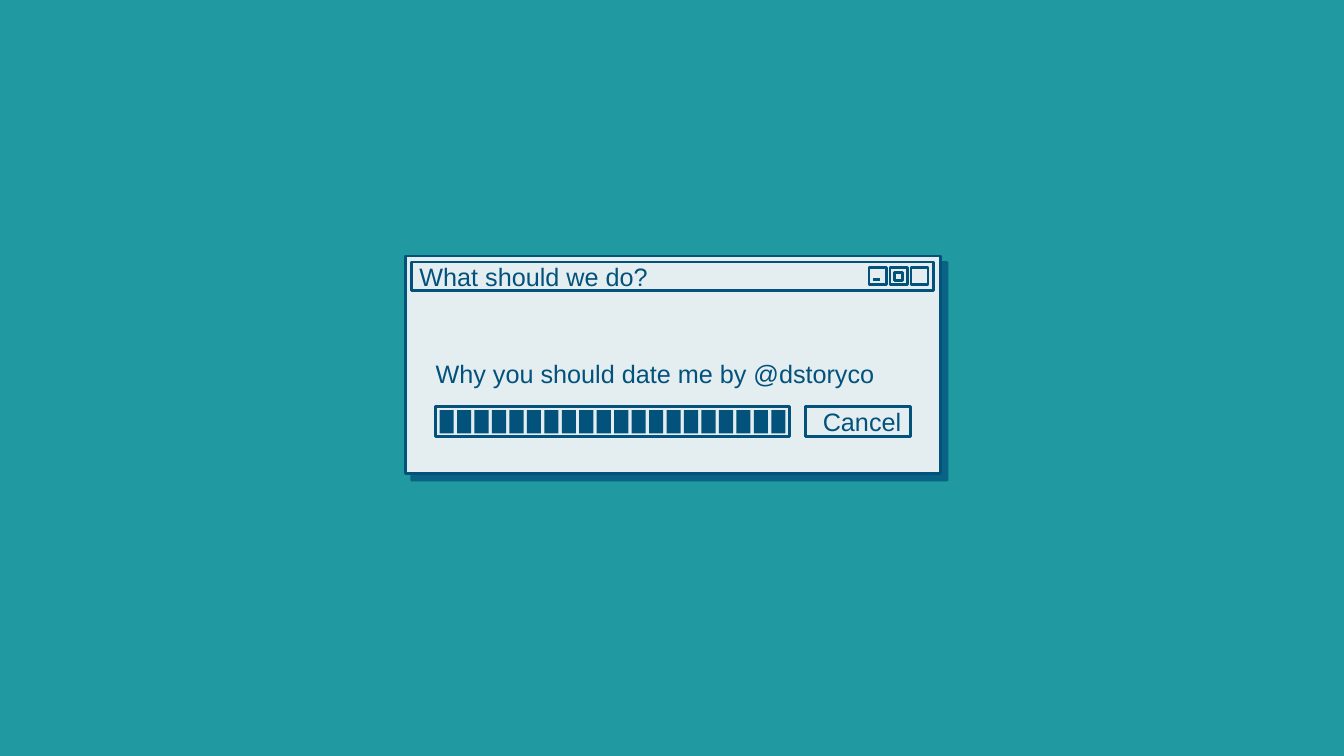
from dataclasses import dataclass

from lxml import etree
from pptx import Presentation
from pptx.dml.color import RGBColor
from pptx.enum.shapes import MSO_CONNECTOR as CONN, MSO_SHAPE as SHAPE
from pptx.enum.text import MSO_ANCHOR as ANCHOR, MSO_AUTO_SIZE as AUTO, PP_ALIGN as ALIGN
from pptx.oxml import parse_xml
from pptx.oxml.ns import nsdecls, qn
from pptx.util import Inches, Pt

COLS, ROWS = 1333, 750
CELL = Inches(0.01)


@dataclass(frozen=True)
class Theme:
    backdrop: str = "2099A1"
    panel: str = "E4EDEF"
    ink: str = "02527C"
    font: str = "Arial"
    size: int = 18
    stroke: int = 2


@dataclass(frozen=True)
class Box:
    """A rectangle in grid cells."""
    x: float
    y: float
    w: float
    h: float

    def sub(self, dx, dy, w, h):
        """A box placed relative to this one's top left corner."""
        return Box(self.x + dx, self.y + dy, w, h)

    def emu(self):
        return [round(v * CELL) for v in (self.x, self.y, self.w, self.h)]


THEME = Theme()
INK = RGBColor.from_string(THEME.ink)


def add_rect(shapes, box, fill=None, outlined=True):
    sp = shapes.add_shape(SHAPE.RECTANGLE, *box.emu())
    sp.shadow.inherit = False
    if fill:
        sp.fill.solid()
        sp.fill.fore_color.rgb = RGBColor.from_string(fill)
    else:
        sp.fill.background()
    if outlined:
        sp.line.color.rgb = INK
        sp.line.width = Pt(THEME.stroke)
    else:
        sp.line.fill.background()
    return sp


def write(sp, text, align=ALIGN.LEFT, inset=0.0, anchor=ANCHOR.MIDDLE):
    tf = sp.text_frame
    tf.margin_left = Inches(inset)
    tf.margin_top = tf.margin_right = tf.margin_bottom = 0
    tf.vertical_anchor = anchor
    p = tf.paragraphs[0]
    p.alignment = align
    r = p.add_run()
    r.text = text
    r.font.name = THEME.font
    r.font.size = Pt(THEME.size)
    r.font.color.rgb = INK
    return tf


def add_hard_shadow(sp):
    effects = sp._element.spPr.find(qn("a:effectLst"))
    effects.append(parse_xml(
        f'<a:outerShdw {nsdecls("a")} blurRad="0" dist="{Pt(6.5)}" dir="2700000" '
        f'algn="tl" rotWithShape="0"><a:srgbClr val="{THEME.ink}">'
        '<a:alpha val="75000"/></a:srgbClr></a:outerShdw>'))


def add_window_buttons(shapes, box):
    """Minimise, maximise and close buttons, spread evenly over the box."""
    side = box.h
    step = (box.w - side) / 2
    group = shapes.add_group_shape().shapes
    minimise, maximise, close = [box.sub(i * step, 0, side, side) for i in range(3)]
    for button in (minimise, maximise, close):
        add_rect(group, button)
    add_rect(group, maximise.sub(4.5, 4.5, 8, 8))
    x, y, w, _ = minimise.sub(3.5, 12, 7, 0).emu()
    dash = group.add_connector(CONN.STRAIGHT, x + w, y, x, y)
    dash.line.color.rgb = INK
    dash.line.width = Pt(THEME.stroke)
    etree.SubElement(dash._element.spPr, qn("a:effectLst"))


def add_title_bar(shapes, box, title):
    write(add_rect(shapes, box, THEME.panel), title, inset=0.08)
    add_window_buttons(shapes, box.sub(box.w - 64, 5.5, 58.5, 17))


def add_progress_bar(shapes, box, blocks=20):
    add_rect(shapes, box)
    pad, width = 4, 14
    step = (box.w - 2 * pad - width) / (blocks - 1)
    for i in range(blocks):
        add_rect(shapes, box.sub(pad + i * step, pad, width, 23), THEME.ink, outlined=False)


def add_dialog(shapes, box):
    add_hard_shadow(add_rect(shapes, box, THEME.panel))
    add_title_bar(shapes, box.sub(6, 6, 518, 28), "What should we do?")
    cancel = add_rect(shapes, box.sub(397, 149, 104, 30), THEME.panel)
    write(cancel, "Cancel", ALIGN.CENTER, inset=0.08)
    add_progress_bar(shapes, box.sub(30, 149, 351, 30))
    message = shapes.add_textbox(*box.sub(30, 102, 442, 30).emu())
    tf = write(message, "Why you should date me by @dstoryco", anchor=ANCHOR.TOP)
    tf.word_wrap = False
    tf.auto_size = AUTO.SHAPE_TO_FIT_TEXT


def main():
    prs = Presentation()
    prs.slide_width, prs.slide_height = COLS * CELL, ROWS * CELL
    s = prs.slides.add_slide(prs.slide_layouts[6])
    s.background.fill.solid()
    s.background.fill.fore_color.rgb = RGBColor.from_string(THEME.backdrop)
    add_dialog(s.shapes, Box(402, 254, 531, 216))
    prs.save("out.pptx")


if __name__ == "__main__":
    main()
